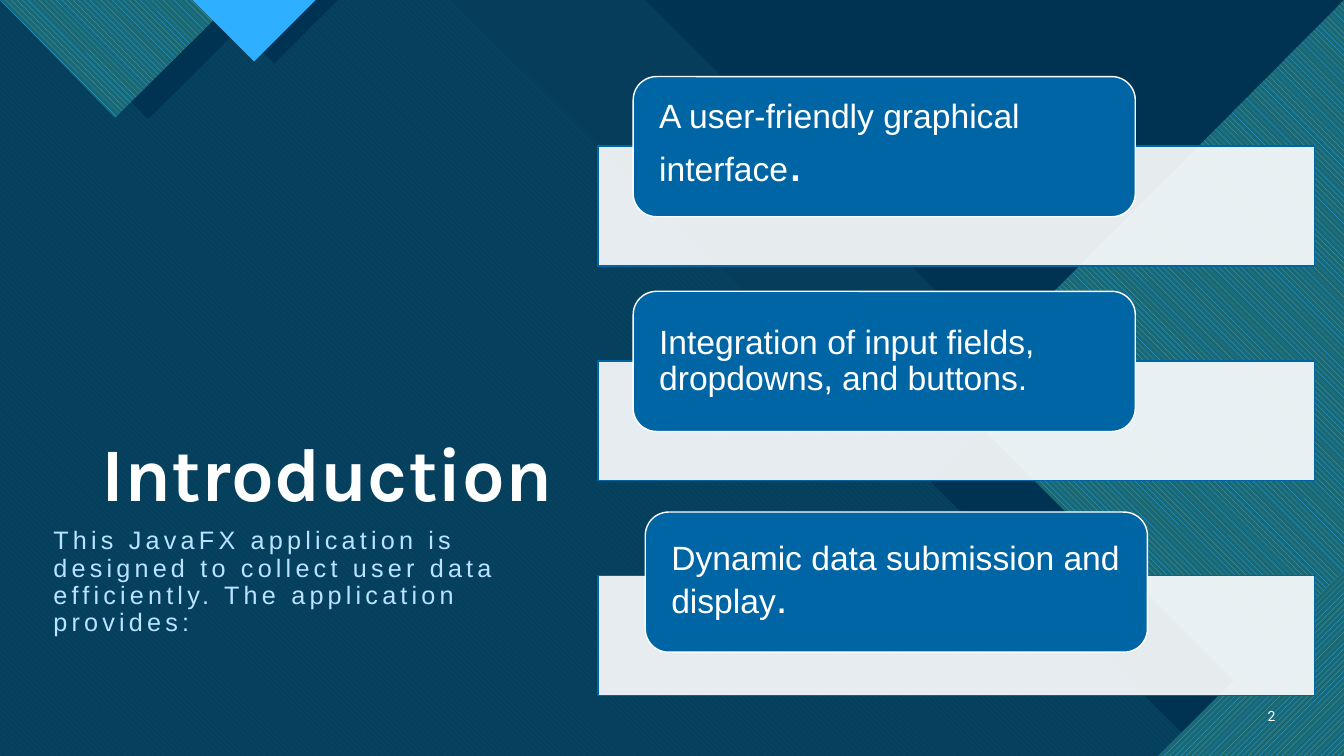
from lxml.etree import SubElement
from pptx import Presentation
from pptx.dml.color import RGBColor
from pptx.enum.dml import MSO_PATTERN
from pptx.enum.shapes import MSO_SHAPE
from pptx.enum.text import MSO_ANCHOR, MSO_AUTO_SIZE, PP_ALIGN
from pptx.oxml.ns import qn
from pptx.util import Inches, Pt

WHITE = RGBColor(0xFF, 0xFF, 0xFF)
BASE = RGBColor(0x0C, 0x43, 0x60)
NAVY = RGBColor(0x00, 0x33, 0x52)
BLUE = RGBColor(0x00, 0x65, 0xA4)
SKY = RGBColor(0x2F, 0xAF, 0xFF)
TEAL = RGBColor(0x1B, 0x68, 0x72)
AQUA = RGBColor(0x47, 0xC3, 0xD3)
PALE = RGBColor(0xBA, 0xE4, 0xFF)

TITLE = "Introduction"
SUMMARY = ("This JavaFX application is designed to collect user data efficiently. "
           "The application provides:")
SLIDE_NUMBER = "2"

# text runs with sizes, then horizontal and vertical shift of the card
FEATURES = [
    ([("A user-friendly graphical interface", 24), (".", 38)], 0, 0),
    ([("Integration of input fields, dropdowns, and buttons.", 24)], 0, 0),
    ([("Dynamic data submission and display", 24), (".", 30)], 0.12, 0.06),
]

DOWN = MSO_PATTERN.WIDE_DOWNWARD_DIAGONAL
UP = MSO_PATTERN.WIDE_UPWARD_DIAGONAL

# outline, colour, opacity in percent, pattern with its background colour
BACKDROP = [
    ([(0, 0), (8.26, 0), (11.23, 2.97), (12.35, 2.97), (13.33, 3.96), (13.33, 7.5), (0, 7.5)],
     AQUA, 74, None),
    ([(0, 0), (4.49, 0), (7.46, 2.97), (8.72, 2.97), (13.25, 7.5), (0, 7.5)],
     BLUE, 100, (DOWN, AQUA)),
    ([(6.4, 0), (13.33, 0), (13.33, 6.93)], NAVY, 100, None),
    ([(0, 0), (6.95, 0), (9.92, 2.97), (11.18, 2.97), (13.33, 5.12), (13.33, 7.5), (0, 7.5)],
     NAVY, 90, None),
    ([(13.33, 0.68), (13.33, 7.5), (11.95, 7.5), (9.23, 4.78)], NAVY, 100, None),
    ([(13.33, 0), (13.33, 7.5), (12.99, 7.5), (9.42, 3.93)], SKY, 100, (DOWN, TEAL)),
    ([(13.33, 5.66), (13.33, 7.5), (11.49, 7.5)], SKY, 100, (UP, TEAL)),
    ([(2.66, 0), (1.47, 1.18), (0.29, 0)], NAVY, 100, None),
    ([(0, 0), (1.14, 1.17), (2.32, 0)], SKY, 100, (DOWN, TEAL)),
    ([(3.35, 0), (2.72, 0.63), (2.09, 0)], NAVY, 100, None),
    ([(1.91, 0), (2.52, 0.61), (3.13, 0)], SKY, 100, None),
]


def paint(shape, color, opacity=100, pattern=None, line=None):
    """Give a shape its fill, opacity and outline."""
    shape.shadow.inherit = False
    if pattern:
        shape.fill.patterned()
        shape.fill.pattern, shape.fill.back_color.rgb = pattern
    else:
        shape.fill.solid()
    shape.fill.fore_color.rgb = color
    if opacity < 100:
        fill_color = shape._element.spPr.find(qn("a:solidFill"))[0]
        SubElement(fill_color, qn("a:alpha")).set("val", str(opacity * 1000))
    if line is None:
        shape.line.fill.background()
    else:
        shape.line.color.rgb = line
        shape.line.width = Pt(1)


def place(shape, left, top, width, height):
    """Move and size a shape in inches."""
    shape.left, shape.top = Inches(left), Inches(top)
    shape.width, shape.height = Inches(width), Inches(height)


def write(shape, runs, font, color, anchor, align=PP_ALIGN.LEFT, bold=False):
    """Write one paragraph run by run and return it."""
    frame = shape.text_frame
    frame.word_wrap = True
    frame.auto_size = MSO_AUTO_SIZE.NONE
    frame.vertical_anchor = anchor
    paragraph = frame.paragraphs[0]
    paragraph.alignment = align
    paragraph.line_spacing = 0.9
    for text, size in runs:
        run = paragraph.add_run()
        run.text = text
        run.font.name = font
        run.font.size = Pt(size)
        run.font.bold = bold
        run.font.color.rgb = color
    return paragraph


def add_backdrop(slide):
    """Draw the layered diagonal shapes behind the content."""
    slide.background.fill.solid()
    slide.background.fill.fore_color.rgb = BASE
    for outline, color, opacity, pattern in BACKDROP:
        points = [(Inches(x), Inches(y)) for x, y in outline]
        builder = slide.shapes.build_freeform(*points[0])
        builder.add_line_segments(points[1:], close=True)
        paint(builder.convert_to_shape(), color, opacity, pattern)


def add_heading(slide):
    """Fill the title and body placeholders in front of the backdrop."""
    title, body = slide.shapes.title, slide.placeholders[1]
    for placeholder in (title, body):
        slide.shapes._spTree.append(placeholder._element)
    place(title, 0.91, 4.25, 8.51, 0.94)
    write(title, [(TITLE, 54)], "Karla", WHITE, MSO_ANCHOR.BOTTOM, bold=True)
    place(body, 0.43, 5.19, 5.49, 1.43)
    paragraph = write(body, [(SUMMARY, 18)], "Arial", PALE, MSO_ANCHOR.TOP)
    paragraph.space_before = Pt(10)
    properties = paragraph._p.get_or_add_pPr()
    properties.set("marL", "0")
    properties.set("indent", "0")
    SubElement(properties, qn("a:buNone"))
    paragraph.runs[0].font._element.set("spc", "300")


def add_features(slide):
    """Draw each feature card on its translucent bar."""
    for row, (runs, shift_x, shift_y) in enumerate(FEATURES):
        offset = 2.13 * row
        bar = slide.shapes.add_shape(MSO_SHAPE.RECTANGLE, 0, 0, 0, 0)
        place(bar, 5.93, 1.45 + offset, 7.11, 1.19)
        paint(bar, WHITE, 90, line=BLUE)
        card = slide.shapes.add_shape(MSO_SHAPE.ROUNDED_RECTANGLE, 0, 0, 0, 0)
        place(card, 6.28 + shift_x, 0.76 + offset + shift_y, 4.98, 1.39)
        paint(card, BLUE, line=WHITE)
        frame = card.text_frame
        frame.margin_left = frame.margin_right = Inches(0.19)
        frame.margin_top = frame.margin_bottom = 0
        write(card, runs, "Arial", WHITE, MSO_ANCHOR.MIDDLE)


def main():
    """Build the introduction slide."""
    presentation = Presentation()
    presentation.slide_width, presentation.slide_height = Inches(13.33), Inches(7.5)
    slide = presentation.slides.add_slide(presentation.slide_layouts[1])
    add_backdrop(slide)
    add_heading(slide)
    number = slide.shapes.add_textbox(Inches(12.31), Inches(6.91), Inches(0.44), Inches(0.4))
    write(number, [(SLIDE_NUMBER, 10)], "Roboto", WHITE, MSO_ANCHOR.MIDDLE, PP_ALIGN.RIGHT)
    add_features(slide)
    presentation.save("out.pptx")


if __name__ == "__main__":
    main()
